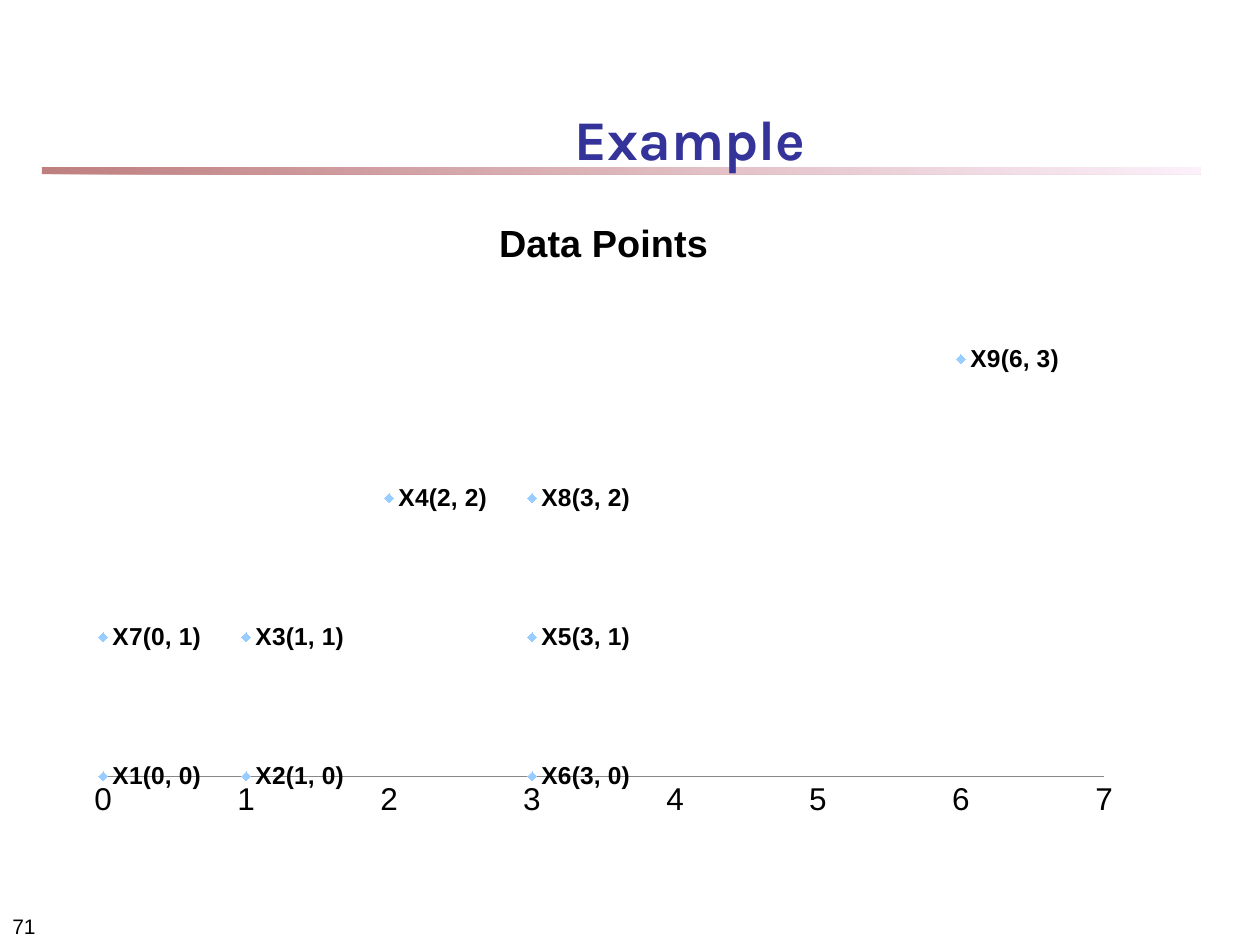
from typing import NamedTuple

from lxml import etree
from pptx import Presentation
from pptx import util as u
from pptx.chart.data import XyChartData
from pptx.chart.datalabel import DataLabels
from pptx.dml.color import RGBColor
from pptx.enum import chart as ch, shapes, text
from pptx.oxml import parse_xml
from pptx.oxml.ns import nsdecls, qn

COLORS = {
    "black": "000000",
    "title": "333399",
    "rule_start": "800000",
    "rule_end": "FAE2F6",
    "marker": "99CCFF",
    "axis": "878787",
}


class Box(NamedTuple):
    left: float
    top: float
    width: float
    height: float

    def lengths(self) -> list:
        return [u.Pt(side) for side in self]


class DataPoint(NamedTuple):
    name: str
    x: int
    y: int

    def label(self) -> str:
        return f"{self.name}({self.x}, {self.y})"


class TextStyle(NamedTuple):
    size: float
    font: str = "Arial"
    color: str = "black"
    bold: bool = False


POINTS = [
    DataPoint("X1", 0, 0),
    DataPoint("X2", 1, 0),
    DataPoint("X3", 1, 1),
    DataPoint("X4", 2, 2),
    DataPoint("X5", 3, 1),
    DataPoint("X6", 3, 0),
    DataPoint("X7", 0, 1),
    DataPoint("X8", 3, 2),
    DataPoint("X9", 6, 3),
]
CHART = Box(42, 110, 606, 364)
PLOT = Box(58.9, 165.5, 572, 278.2)
LABEL_STYLE = TextStyle(14, bold=True)


def rgb(name: str) -> RGBColor:
    return RGBColor.from_string(COLORS[name])


def style_font(font, style: TextStyle) -> None:
    font.size = u.Pt(style.size)
    font.name = style.font
    font.bold = style.bold
    font.color.rgb = rgb(style.color)


def add_text(slide, box: Box, words: str, style: TextStyle, align) -> None:
    frame = slide.shapes.add_textbox(*box.lengths()).text_frame
    frame.word_wrap = True
    frame.vertical_anchor = text.MSO_ANCHOR.BOTTOM
    frame.text = words
    frame.paragraphs[0].alignment = align
    style_font(frame.paragraphs[0].runs[0].font, style)


def add_rule(slide, box: Box) -> None:
    """Add the half-transparent gradient bar under the title."""
    rule = slide.shapes.add_shape(shapes.MSO_SHAPE.RECTANGLE, *box.lengths())
    rule.shadow.inherit = False
    rule.line.fill.background()
    rule.fill.gradient()
    rule.fill.gradient_angle = 0
    for stop, position, color in zip(rule.fill.gradient_stops, (0, 1), ("rule_start", "rule_end")):
        stop.position = position
        stop.color.rgb = rgb(color)
    for color in rule._element.spPr.iter(qn("a:srgbClr")):
        etree.SubElement(color, qn("a:alpha")).set("val", "50000")


def set_plot_area(chart) -> None:
    """Fix the inner plot area, given as fractions of the chart's size."""
    plot_area = chart._chartSpace.chart.plotArea
    for layout in plot_area.findall(qn("c:layout")):
        plot_area.remove(layout)
    fractions = {
        "x": (PLOT.left - CHART.left) / CHART.width,
        "y": (PLOT.top - CHART.top) / CHART.height,
        "w": PLOT.width / CHART.width,
        "h": PLOT.height / CHART.height,
    }
    sides = "".join(f'<c:{side} val="{part:.4f}"/>' for side, part in fractions.items())
    plot_area.insert(0, parse_xml(
        f'<c:layout {nsdecls("c")}><c:manualLayout><c:layoutTarget val="inner"/>'
        f'<c:xMode val="edge"/><c:yMode val="edge"/>{sides}</c:manualLayout></c:layout>'
    ))


def style_axes(chart) -> None:
    for axis, maximum, step in ((chart.category_axis, 7, 1), (chart.value_axis, 3.5, 0.5)):
        axis.minimum_scale, axis.maximum_scale, axis.major_unit = 0, maximum, step
        axis.has_major_gridlines = False
        axis.major_tick_mark = axis.minor_tick_mark = ch.XL_TICK_MARK.NONE
    chart.category_axis.format.line.color.rgb = rgb("axis")
    chart.category_axis.format.line.width = u.Pt(0.25)
    chart.value_axis.visible = False


def style_series(series) -> None:
    series.format.line.fill.background()
    marker = series.marker
    marker.style = ch.XL_MARKER_STYLE.DIAMOND
    marker.size = 5
    marker.format.fill.solid()
    marker.format.fill.fore_color.rgb = rgb("marker")
    marker.format.line.fill.background()


def label_points(series) -> None:
    label_group = series._element.get_or_add_dLbls()
    labels = DataLabels(label_group)
    labels.show_value = labels.show_category_name = True
    labels.position = ch.XL_LABEL_POSITION.RIGHT
    style_font(labels.font, LABEL_STYLE)
    for index, point in enumerate(POINTS):
        label = series.points[index].data_label
        label.text_frame.text = point.label()
        style_font(label.text_frame.paragraphs[0].runs[0].font, LABEL_STYLE)
        label.position = ch.XL_LABEL_POSITION.RIGHT
    for flag in label_group.iter(qn("c:showVal"), qn("c:showCatName")):
        flag.set("val", "1")


def add_scatter(slide) -> None:
    data = XyChartData()
    series_data = data.add_series("Series 1")
    for point in POINTS:
        series_data.add_data_point(point.x, point.y)
    chart = slide.shapes.add_chart(ch.XL_CHART_TYPE.XY_SCATTER, *CHART.lengths(), data).chart
    style_font(chart.font, TextStyle(18))
    chart.has_legend = False
    chart.has_title = True
    heading = chart.chart_title.text_frame
    heading.text = "Data Points"
    style_font(heading.paragraphs[0].runs[0].font, TextStyle(21.6, bold=True))
    chart.plots[0].vary_by_categories = False
    set_plot_area(chart)
    style_axes(chart)
    style_series(chart.plots[0].series[0])
    label_points(chart.plots[0].series[0])


def main() -> None:
    deck = Presentation()
    deck.slide_width, deck.slide_height = u.Pt(720), u.Pt(540)
    slide = deck.slides.add_slide(deck.slide_layouts[6])
    add_rule(slide, Box(24, 95.5, 662, 4))
    add_text(slide, Box(0, 510, 150, 30), "71", TextStyle(12), text.PP_ALIGN.LEFT)
    add_text(slide, Box(107, 35.5, 574.5, 66), "Example",
             TextStyle(32, "Karla", "title", True), text.PP_ALIGN.CENTER)
    add_scatter(slide)
    deck.save("out.pptx")


if __name__ == "__main__":
    main()
